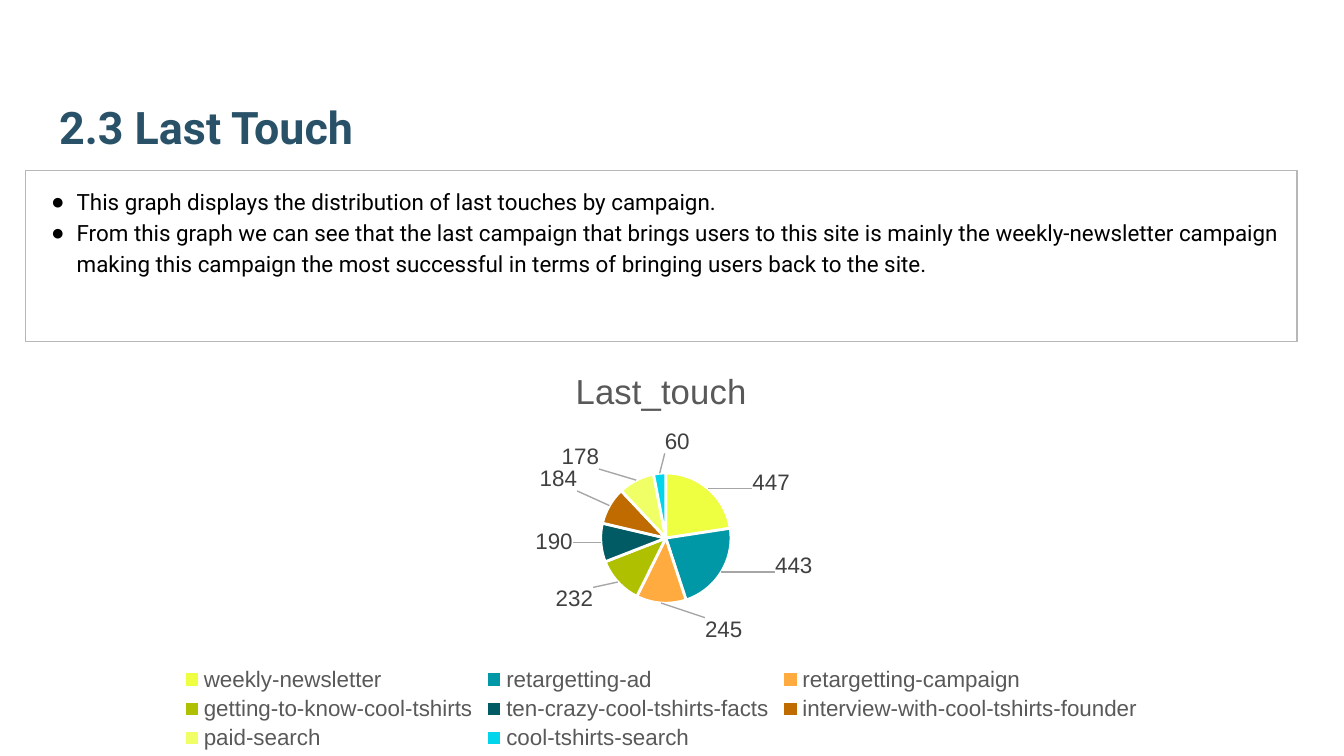
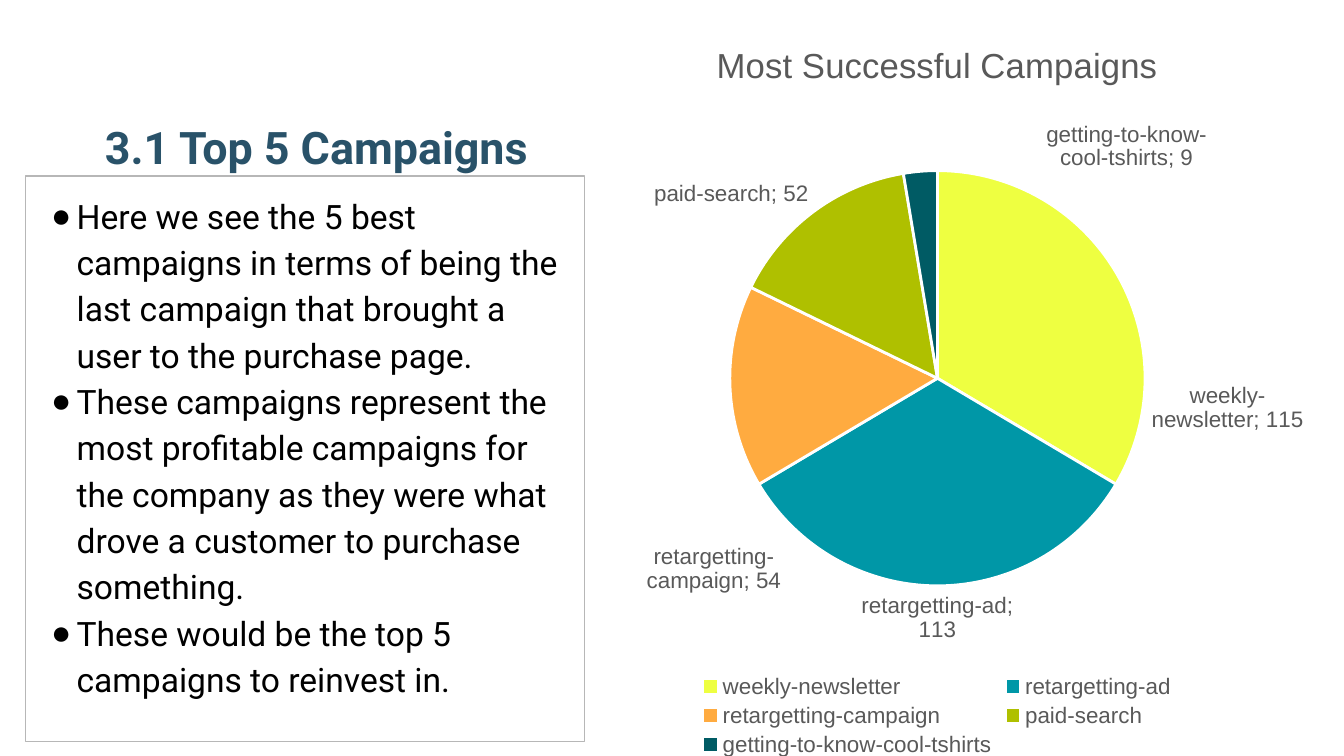
from lxml.etree import SubElement
from pptx import Presentation
from pptx.chart.data import CategoryChartData
from pptx.dml.color import RGBColor
from pptx.enum.chart import XL_CHART_TYPE, XL_LABEL_POSITION, XL_LEGEND_POSITION
from pptx.enum.text import MSO_ANCHOR, MSO_AUTO_SIZE, PP_ALIGN
from pptx.oxml import parse_xml
from pptx.oxml.ns import nsdecls, qn
from pptx.util import Inches, Pt

NAVY = RGBColor(0x29, 0x52, 0x69)
BLACK = RGBColor(0x00, 0x00, 0x00)
WHITE = RGBColor(0xFF, 0xFF, 0xFF)
BORDER = RGBColor(0xB7, 0xB7, 0xB7)
LEADER = RGBColor(0xA6, 0xA6, 0xA6)
GRAY = RGBColor(0x59, 0x59, 0x59)
DARK_GRAY = RGBColor(0x40, 0x40, 0x40)
YELLOW = RGBColor(0xEE, 0xFF, 0x41)
TEAL = RGBColor(0x00, 0x97, 0xA7)
ORANGE = RGBColor(0xFF, 0xAB, 0x40)
OLIVE = RGBColor(0xAF, 0xC0, 0x00)
DARK_TEAL = RGBColor(0x00, 0x5B, 0x64)
BROWN = RGBColor(0xBF, 0x6B, 0x00)
PALE_YELLOW = RGBColor(0xF1, 0xFF, 0x67)
CYAN = RGBColor(0x00, 0xD5, 0xEC)
SLICE_COLORS = (YELLOW, TEAL, ORANGE, OLIVE, DARK_TEAL, BROWN, PALE_YELLOW, CYAN)

TEXT_FONT = "Roboto"
CHART_FONT = "Arial"

SLIDES = [
    {
        "title": "2.3 Last Touch",
        "title_box": (0.34, 0.32, 9.32, 0.92),
        "bullets": [
            "This graph displays the distribution of last touches by campaign.",
            "From this graph we can see that the last campaign that brings users to this site "
            "is mainly the weekly-newsletter campaign making this campaign the most "
            "successful in terms of bringing users back to the site.",
        ],
        "bullet_box": (0.19, 1.27, 9.46, 1.27),
        "bullet_size": 12,
        "chart": {
            "title": "Last_touch",
            "series": "Series 1",
            "values": [
                ("weekly-newsletter", 447),
                ("retargetting-ad", 443),
                ("retargetting-campaign", 245),
                ("getting-to-know-cool-tshirts", 232),
                ("ten-crazy-cool-tshirts-facts", 190),
                ("interview-with-cool-tshirts-founder", 184),
                ("paid-search", 178),
                ("cool-tshirts-search", 60),
            ],
            "box": (0.19, 2.58, 9.46, 3.04),
            "pie": (4.47, 3.52, 0.97),
            "label_color": DARK_GRAY,
            "label_position": XL_LABEL_POSITION.BEST_FIT,
            "show_category": False,
            "leader_lines": True,
            "label_offsets": {
                0: (0.29, 0.09),
                1: (0.35, -0.17),
                2: (0.47, 0.05),
                3: (-0.14, 0),
                4: (-0.15, -0.01),
                5: (-0.19, -0.08),
                6: (-0.25, -0.03),
                7: (0.23, -0.09),
            },
        },
    },
    {
        "title": "3.1 Top 5 Campaigns",
        "title_box": (0.68, 0.47, 9.32, 0.92),
        "bullets": [
            "Here we see the 5 best campaigns in terms of being the last campaign that "
            "brought a user to the purchase page.",
            "These campaigns represent the most profitable campaigns for the company as "
            "they were what drove a customer to purchase something.",
            "These would be the top 5 campaigns to reinvest in.",
        ],
        "bullet_box": (0.19, 1.31, 4.16, 4.21),
        "bullet_size": 18,
        "chart": {
            "title": "Most Successful Campaigns",
            "series": "Most Successful Campaigns",
            "values": [
                ("weekly-newsletter", 115),
                ("retargetting-ad", 113),
                ("retargetting-campaign", 54),
                ("paid-search", 52),
                ("getting-to-know-cool-tshirts", 9),
            ],
            "box": (3.64, 0.1, 6.67, 5.57),
            "pie": (5.43, 1.27, 3.09),
            "label_color": GRAY,
            "label_position": XL_LABEL_POSITION.OUTSIDE_END,
            "show_category": True,
            "leader_lines": False,
            "label_offsets": {0: (0.2, 1.19), 2: (0.44, 1.35), 4: (1.54, 0.05)},
        },
    },
]


def format_font(font, size, color, name=CHART_FONT, bold=False):
    font.size = Pt(size)
    font.name = name
    font.bold = bold
    font.color.rgb = color


def write_text(paragraph, text, **text_format):
    run = paragraph.add_run()
    run.text = text
    format_font(run.font, **text_format)


def place(shape, box):
    shape.left, shape.top, shape.width, shape.height = map(Inches, box)


def prepare_frame(shape, anchor, left_margin):
    frame = shape.text_frame
    frame.word_wrap = True
    frame.auto_size = MSO_AUTO_SIZE.NONE
    frame.vertical_anchor = anchor
    frame.margin_left = Inches(left_margin)
    frame.margin_top = frame.margin_right = frame.margin_bottom = Inches(0.1)
    return frame


def add_title(slide, text, box):
    title = slide.shapes.title
    place(title, box)
    paragraph = prepare_frame(title, MSO_ANCHOR.BOTTOM, 0.1).paragraphs[0]
    paragraph.alignment = PP_ALIGN.LEFT
    write_text(paragraph, text, size=24, color=NAVY, name=TEXT_FONT, bold=True)


def add_bullets(slide, bullets, box, size):
    body = slide.placeholders[1]
    place(body, box)
    body.line.color.rgb = BORDER
    body.line.width = Pt(0.75)
    frame = prepare_frame(body, MSO_ANCHOR.TOP, 0.19)
    for index, text in enumerate(bullets):
        paragraph = frame.add_paragraph() if index else frame.paragraphs[0]
        properties = paragraph._p.get_or_add_pPr()
        properties.set("marL", str(Inches(0.19)))
        properties.set("indent", str(Inches(-0.21)))
        bullet_color = SubElement(properties, qn("a:buClr"))
        SubElement(bullet_color, qn("a:srgbClr"), val=str(BLACK))
        SubElement(properties, qn("a:buFont"), typeface=CHART_FONT)
        SubElement(properties, qn("a:buChar"), char="●")
        paragraph.alignment = PP_ALIGN.LEFT
        paragraph.line_spacing = 1.15
        paragraph.space_before = paragraph.space_after = Pt(0)
        write_text(paragraph, text, size=size, color=BLACK, name=TEXT_FONT)


def manual_layout(**settings):
    layout = parse_xml(f"<c:layout {nsdecls('c')}><c:manualLayout/></c:layout>")
    for name, value in settings.items():
        SubElement(layout[0], qn(f"c:{name}"), val=str(value))
    return layout


def place_pie(chart, content):
    left, top, width, height = content["box"]
    pie_left, pie_top, diameter = content["pie"]
    plot_area = chart._chartSpace.chart.plotArea
    for layout in plot_area.findall(qn("c:layout")):
        plot_area.remove(layout)
    plot_area.insert(0, manual_layout(
        layoutTarget="inner", xMode="edge", yMode="edge",
        x=round((pie_left - left) / width, 4), y=round((pie_top - top) / height, 4),
        w=round(diameter / width, 4), h=round(diameter / height, 4)))


def label_slices(series, content):
    labels = series.data_labels
    labels.show_value = True
    labels.show_category_name = content["show_category"]
    labels.position = content["label_position"]
    format_font(labels.font, 12, content["label_color"])
    width, height = content["box"][2:]
    for index, (across, down) in content["label_offsets"].items():
        label = series.points[index].data_label
        format_font(label.font, 12, content["label_color"])
        label.position = content["label_position"]
        element = labels._element.findall(qn("c:dLbl"))[-1]
        element.find(qn("c:showCatName")).set("val", str(int(content["show_category"])))
        element.find(qn("c:idx")).addnext(
            manual_layout(x=round(across / width, 4), y=round(down / height, 4)))
    for leader in labels._element.findall(qn("c:showLeaderLines")):
        labels._element.remove(leader)
    SubElement(labels._element, qn("c:showLeaderLines"), val=str(int(content["leader_lines"])))
    if content["leader_lines"]:
        labels._element.append(parse_xml(
            f"<c:leaderLines {nsdecls('c', 'a')}><c:spPr><a:ln w='9525'><a:solidFill>"
            f"<a:srgbClr val='{LEADER}'/></a:solidFill></a:ln></c:spPr></c:leaderLines>"))


def add_pie(slide, content):
    data = CategoryChartData()
    data.categories = [name for name, _ in content["values"]]
    data.add_series(content["series"], [value for _, value in content["values"]])
    chart = slide.shapes.add_chart(
        XL_CHART_TYPE.PIE, *map(Inches, content["box"]), data).chart
    format_font(chart.font, 10, BLACK)
    chart._chartSpace.chart.addnext(parse_xml(
        f"<c:spPr {nsdecls('c', 'a')}><a:noFill/><a:ln><a:noFill/></a:ln></c:spPr>"))
    chart.has_title = True
    write_text(chart.chart_title.text_frame.paragraphs[0], content["title"],
               size=18.6, color=GRAY)
    chart.chart_title.include_in_layout = False
    chart.has_legend = True
    chart.legend.position = XL_LEGEND_POSITION.BOTTOM
    chart.legend.include_in_layout = False
    format_font(chart.legend.font, 12, GRAY)
    place_pie(chart, content)
    plot = chart.plots[0]
    plot.vary_by_categories = True
    series = plot.series[0]
    for index, color in enumerate(SLICE_COLORS[:len(content["values"])]):
        slice_format = series.points[index].format
        slice_format.fill.solid()
        slice_format.fill.fore_color.rgb = color
        slice_format.line.color.rgb = WHITE
        slice_format.line.width = Pt(1.5)
    label_slices(series, content)


def main():
    presentation = Presentation()
    presentation.slide_width = Inches(10)
    presentation.slide_height = Inches(10 * 9 / 16)
    for content in SLIDES:
        slide = presentation.slides.add_slide(presentation.slide_layouts[1])
        slide.background.fill.solid()
        slide.background.fill.fore_color.rgb = WHITE
        add_title(slide, content["title"], content["title_box"])
        add_bullets(slide, content["bullets"], content["bullet_box"], content["bullet_size"])
        add_pie(slide, content["chart"])
    presentation.save("out.pptx")


if __name__ == "__main__":
    main()
